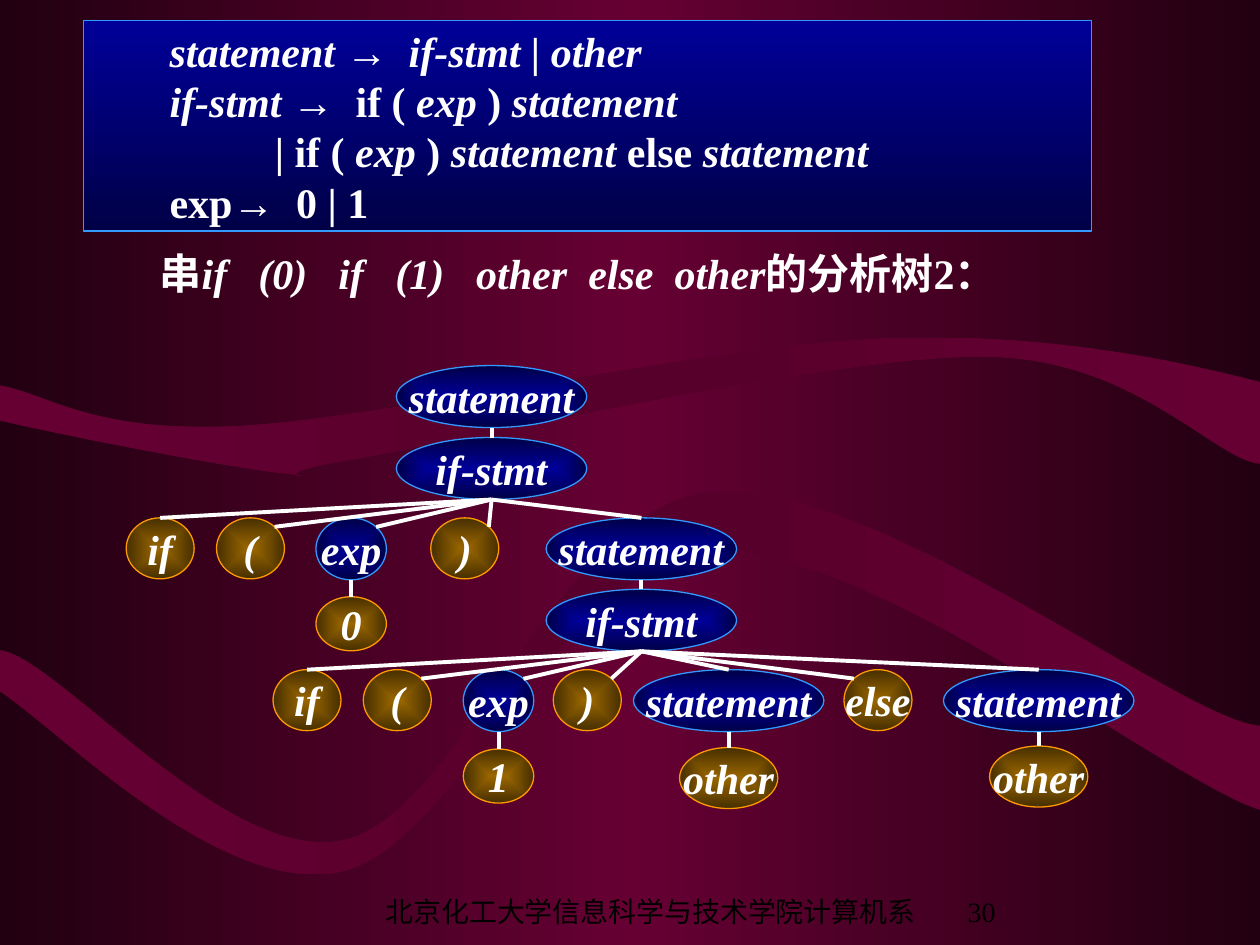
from dataclasses import dataclass
from typing import Optional

from lxml import etree
from pptx import Presentation
from pptx import util as u
from pptx.dml.color import RGBColor
from pptx.enum import shapes, text
from pptx.oxml import parse_xml
from pptx.oxml.ns import nsdecls, qn

INK = {"wine": "660033", "dusk": "220011", "plum": "56002B",
       "blue": "000099", "navy": "000047", "sky": "3399FF",
       "gold": "996600", "brown": "472F00", "orange": "FF9900",
       "white": "FFFFFF", "black": "000000"}
ROMAN, ARIAL = "Times New Roman", "Arial"
BOLD = {"name": ROMAN, "size": u.Pt(24), "bold": True, "italic": False}
SLANT = {**BOLD, "italic": True}
ARROW = {**SLANT, "name": ARIAL}
SMALL = {"name": ROMAN, "size": u.Pt(16)}
SIZE = {"rule": (3.84, 1.25), "exp": (1.42, 1.25), "token": (1.37, 1.23),
        "digit": (1.42, 1.09), "word": (1.98, 1.23)}
DIAG = 0.5 ** 0.5


@dataclass
class Node:
    label: str
    kind: str
    mid: float
    top: float
    up: Optional["Node"] = None
    side: int = 0

    @property
    def size(self) -> tuple:
        return SIZE[self.kind]

    def foot(self) -> tuple:
        return self.mid, self.top + self.size[1]

    def head(self) -> tuple:
        wide, high = self.size
        drop = high / 2 * (1 - DIAG) if self.side else 0
        return self.mid + self.side * wide / 2 * DIAG, self.top + drop


@dataclass
class Line:
    runs: list
    tabs: tuple = ()
    indent: float = 0


def shade(fill, root, tints: list, turn: Optional[int] = None) -> None:
    fill.gradient()
    last = len(tints) - 1
    stops = "".join(f'<a:gs pos="{100000 * i // last}"><a:srgbClr val="{INK[t]}"/></a:gs>'
                    for i, t in enumerate(tints))
    flow = (f'<a:lin ang="{turn * 60000}" scaled="0"/>' if turn is not None else
            '<a:path path="rect"><a:fillToRect l="50000" t="50000" r="50000" b="50000"/></a:path>')
    old = root.find(".//" + qn("a:gradFill"))
    new = parse_xml(f'<a:gradFill {nsdecls("a")} rotWithShape="1">'
                    f'<a:gsLst>{stops}</a:gsLst>{flow}</a:gradFill>')
    old.getparent().replace(old, new)


def write(frame, lines: list, tint: str = "white", align=text.PP_ALIGN.LEFT,
          anchor=text.MSO_ANCHOR.MIDDLE, wrap: bool = True) -> None:
    frame.word_wrap = wrap
    frame.vertical_anchor = anchor
    for i, line in enumerate(lines):
        para = frame.add_paragraph() if i else frame.paragraphs[0]
        para.alignment = align
        props = para._p.get_or_add_pPr()
        if line.indent:
            props.set("marL", str(u.Cm(line.indent)))
        if line.tabs:
            stops = "".join(f'<a:tab pos="{u.Cm(t)}" algn="l"/>' for t in line.tabs)
            props.append(parse_xml(f'<a:tabLst {nsdecls("a")}>{stops}</a:tabLst>'))
        for words, style in line.runs:
            run = para.add_run()
            run.text = words
            for key, val in style.items():
                setattr(run.font, key, val)
            run.font.color.rgb = RGBColor.from_string(INK[tint])


def shape(slide, kind, box: tuple, tints: list, edge: str, turn: Optional[int] = None):
    item = slide.shapes.add_shape(kind, *map(u.Cm, box))
    item.shadow.inherit = False
    shade(item.fill, item._element.spPr, tints, turn)
    item.line.color.rgb = RGBColor.from_string(INK[edge])
    item.line.width = u.Pt(0.75)
    return item


def label(slide, box: tuple, lines: list, **look):
    item = slide.shapes.add_textbox(*map(u.Cm, box))
    write(item.text_frame, lines, **look)
    return item


def bend(steps: list) -> None:
    for i in range(0, len(steps), 3):
        curve = etree.Element(qn("a:cubicBezTo"))
        steps[i].addprevious(curve)
        for step in steps[i:i + 3]:
            curve.append(step[0])
            step.getparent().remove(step)


def wave(slide, low: list, high: list) -> None:
    pts = [(u.Cm(x), u.Cm(y)) for x, y in low + high]
    pen = slide.shapes.build_freeform(*pts[0])
    pen.add_line_segments(pts[1:], close=True)
    item = pen.convert_to_shape()
    item.shadow.inherit = False
    props = item._element.spPr
    steps = list(props.iter(qn("a:lnTo")))
    turn = len(low) - 1
    bend(steps[:turn])
    bend(steps[turn + 1:turn + len(high)])
    shade(item.fill, props, ["wine", "plum", "wine"], 0)
    item.line.fill.background()


def oval(slide, node: Node) -> None:
    wide, high = node.size
    tints, edge = ((["blue", "navy"], "sky") if node.kind in ("rule", "exp")
                   else (["gold", "brown"], "orange"))
    item = shape(slide, shapes.MSO_SHAPE.OVAL,
                 (node.mid - wide / 2, node.top, wide, high), tints, edge)
    write(item.text_frame, [Line([(node.label, SLANT)])],
          align=text.PP_ALIGN.CENTER, wrap=False)


def link(slide, node: Node) -> None:
    ends = map(u.Cm, node.up.foot() + node.head())
    item = slide.shapes.add_connector(shapes.MSO_CONNECTOR.STRAIGHT, *ends)
    item.line.color.rgb = RGBColor.from_string(INK["white"])
    item.line.width = u.Pt(2.25)
    item._element.spPr.append(parse_xml(f'<a:effectLst {nsdecls("a")}/>'))


def branch(up: Node, top: float, kids: list) -> list:
    return [Node(name, kind, mid, top, up, side) for name, kind, mid, side in kids]


def tree() -> list:
    root = Node("statement", "rule", 9.91, 7.37)
    outer = Node("if-stmt", "rule", 9.91, 8.82, root)
    first = branch(outer, 10.44, [
        ("if", "token", 3.23, 0), ("(", "token", 5.05, 1), ("exp", "exp", 7.08, 1),
        (")", "token", 9.37, 1), ("statement", "rule", 12.93, 0)])
    inner = Node("if-stmt", "rule", 12.93, 11.88, first[-1])
    second = branch(inner, 13.5, [
        ("if", "token", 6.19, 0), ("(", "token", 8.01, 1), ("exp", "exp", 10.05, 1),
        (")", "token", 11.84, 1), ("statement", "rule", 14.69, 0),
        ("else", "token", 17.7, -1), ("statement", "rule", 20.94, 0)])
    ends = [Node("0", "digit", 7.08, 12.03, first[2]),
            Node("1", "digit", 10.05, 15.1, second[2]),
            Node("other", "word", 14.69, 15.07, second[4]),
            Node("other", "word", 20.94, 15.04, second[6])]
    return [root, outer, *first, inner, *second, *ends]


def main() -> None:
    deck = Presentation()
    deck.slide_width, deck.slide_height = u.Cm(25.4), u.Cm(19.05)
    slide = deck.slides.add_slide(deck.slide_layouts[6])
    shade(slide.background.fill, slide._element, ["dusk", "wine", "dusk"], 0)

    wave(slide,
         [(0, 8.48), (0.94, 8.71), (4.45, 9.4), (5.64, 9.53), (6.83, 9.65), (4.83, 9.63),
          (7.16, 9.25), (9.53, 8.84), (16.76, 7.16), (19.81, 7.19), (22.86, 7.19),
          (24.46, 9.27), (25.4, 9.35)],
         [(25.4, 7.7), (24.13, 7.37), (21.23, 6.68), (17.81, 6.83), (14.38, 6.96),
          (7.8, 8.43), (4.83, 8.59), (1.85, 8.74), (1.02, 7.95), (0, 7.77)])
    wave(slide,
         [(0, 13.94), (1.14, 14.68), (4.42, 18.06), (6.83, 17.58), (9.22, 17.12),
          (11.25, 11.33), (14.35, 11.13), (17.45, 10.9), (23.55, 15.75), (25.4, 16.33)],
         [(25.4, 14.63), (23.83, 14.53), (17.55, 9.58), (14.27, 9.93), (11.2, 10.31),
          (9.32, 16.41), (6.93, 16.94), (4.55, 17.45), (1.14, 13.21), (0, 13.11)])

    foot = {"tint": "black", "align": text.PP_ALIGN.CENTER, "anchor": text.MSO_ANCHOR.BOTTOM}
    label(slide, (7.19, 18, 11.86, 0.84),
          [Line([("北京化工大学信息科学与技术学院计算机系", SMALL)])], **foot)
    label(slide, (18.54, 18, 2.5, 0.84), [Line([("30", SMALL)])], **foot)

    nodes = tree()
    for node in nodes:
        oval(slide, node)
    for node in nodes[1:]:
        link(slide, node)

    panel = shape(slide, shapes.MSO_SHAPE.RECTANGLE, (1.69, 0.42, 20.32, 4.24),
                  ["blue", "navy"], "sky", 90)
    panel.text_frame.margin_left = u.Cm(1.73)
    write(panel.text_frame, [
        Line([("statement ", SLANT), ("→\t", ARROW), ("if-stmt | other", SLANT)], (4.82,)),
        Line([("if-stmt ", SLANT), ("→\t", ARROW), ("if ( ", BOLD), ("exp ", SLANT),
              (") ", BOLD), ("statement", SLANT)], (3.75,)),
        Line([("| if ( ", BOLD), ("exp ", SLANT), (") ", BOLD), ("statement ", SLANT),
              ("else ", BOLD), ("statement", SLANT)], indent=2.12),
        Line([("exp", BOLD), ("→\t", ARROW), ("0 | 1", BOLD)], (2.55,))])

    title = label(slide, (2.97, 4.86, 18.21, 1.27), [
        Line([("串", BOLD), ("if\t(0)\tif\t(1)\tother\telse\tother", SLANT),
              ("的分析树2：", BOLD)], (1.99, 3.6, 4.75, 6.38, 8.64, 10.38))],
        anchor=text.MSO_ANCHOR.TOP)
    title.text_frame.auto_size = text.MSO_AUTO_SIZE.SHAPE_TO_FIT_TEXT
    deck.save("out.pptx")


if __name__ == "__main__":
    main()
